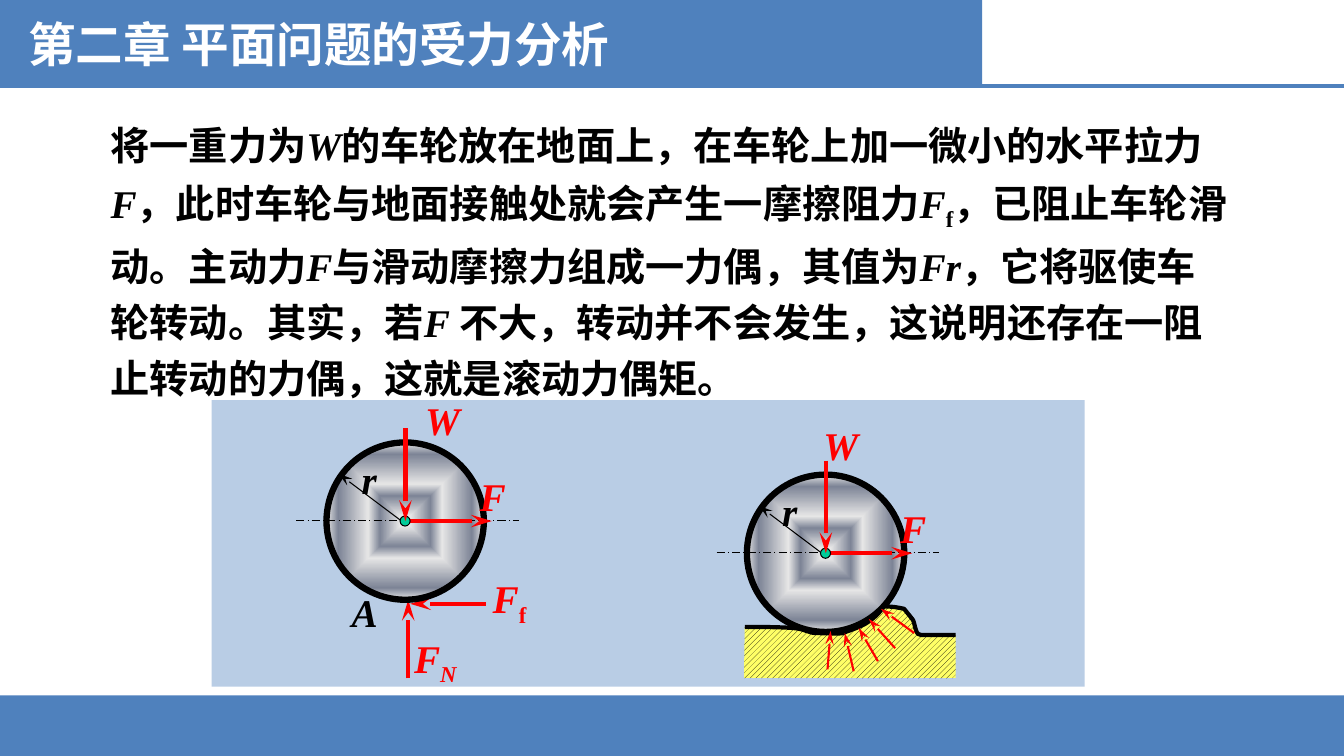
"""Build the slide on the forces acting on a rolling wheel."""
import pptx
import pptx.util
import pptx.dml.color
import pptx.enum.dml
import pptx.enum.shapes
import pptx.enum.text
import pptx.oxml.ns
from lxml import etree

Pt = pptx.util.Pt
qn = pptx.oxml.ns.qn
ink = pptx.dml.color.RGBColor.from_string
KIND = pptx.enum.shapes.MSO_SHAPE
HAN = "Noto Sans CJK SC"
ROMAN = "Times New Roman"
RED, BLACK, BLUE = "FF0000", "000000", "4F81BD"


def write(box, runs, size, color):
    """Fill a box with (text, style) runs: i is italic, s is subscript."""
    frame = box.text_frame
    frame.word_wrap = True
    frame.auto_size = pptx.enum.text.MSO_AUTO_SIZE.NONE
    frame.vertical_anchor = pptx.enum.text.MSO_ANCHOR.TOP
    para = frame.paragraphs[0]
    para.alignment = pptx.enum.text.PP_ALIGN.LEFT
    for text, style in runs:
        run = para.add_run()
        run.text = text
        font = run.font
        font.name = ROMAN if text.isascii() else HAN
        font.size, font.bold, font.italic = Pt(size), True, "i" in style
        font.color.rgb = ink(color)
        props = run._r.get_or_add_rPr()
        etree.SubElement(props, qn("a:ea")).set("typeface", HAN)
        if "s" in style:
            props.set("baseline", "-25000")
    return para


def draw(parts, start, end, color, width, arrow=True):
    """Draw a straight line, with a long arrowhead at its end if asked."""
    line = parts.add_connector(pptx.enum.shapes.MSO_CONNECTOR.STRAIGHT,
                               *[Pt(v) for v in (*start, *end)])
    line.line.color.rgb = ink(color)
    line.line.width = Pt(width)
    if arrow:
        tip = etree.SubElement(line.line._get_or_add_ln(), qn("a:tailEnd"))
        tip.set("type", "stealth")
        tip.set("len", "lg")
    etree.SubElement(line.element.spPr, qn("a:effectLst"))
    return line


deck = pptx.Presentation()
deck.slide_width, deck.slide_height = Pt(960), Pt(540)
slide = deck.slides.add_slide(deck.slide_layouts[5])
shapes = slide.shapes

for x, y, w, h, color in [(0, 496.8, 960, 43.2, BLUE),
                          (0, -0.7, 701.5, 62.6, BLUE),
                          (151.2, 285.8, 623.5, 204.7, "B9CDE5")]:
    band = shapes.add_shape(KIND.RECTANGLE, Pt(x), Pt(y), Pt(w), Pt(h))
    band.shadow.inherit = False
    band.fill.solid()
    band.fill.fore_color.rgb = ink(color)
    band.line.fill.background()
draw(shapes, (0, 61.7), (960, 61.7), BLUE, 3, False)

title = shapes.title
shapes._spTree.append(title.element)
title.left, title.top, title.width, title.height = Pt(13), Pt(7.2), Pt(437), Pt(48.2)
write(title, [("第二章 平面问题的受力分析", "")], 34, "FFFFFF")
title.text_frame.word_wrap = False

body = shapes.add_textbox(Pt(72), Pt(76.3), Pt(816.2), Pt(211))
para = write(body, [
    ("将一重力为", ""), ("W", "i"),
    ("的车轮放在地面上，在车轮上加一微小的水平拉力", ""), ("F", "i"),
    ("，此时车轮与地面接触处就会产生一摩擦阻力", ""), ("F", "i"), ("f", "s"),
    ("，已阻止车轮滑动。主动力", ""), ("F", "i"),
    ("与滑动摩擦力组成一力偶，其值为", ""), ("Fr", "i"),
    ("，它将驱使车轮转动。其实，若", ""), ("F ", "i"),
    ("不大，转动并不会发生，这说明还存在一阻止转动的力偶，这就是滚动力偶矩。", ""),
], 28, BLACK)
para.line_spacing = 1.2

for start, end, spot, sub, style in [
    ((291.6, 484.6), (291.6, 428.4), (288.7, 449.3, 72.7, 41), "N", "is"),
    ((347, 431.3), (293, 431.3), (344.9, 406.8, 54.7, 41), "f", "s"),
]:
    draw(shapes, start, end, RED, 3)
    box = shapes.add_textbox(*[Pt(v) for v in spot])
    write(box, [("F", "i"), (sub, style)], 28, RED)

stops = [(0, "FFFFFF"), (7, "E6E6E6"), (32, "7D8496"),
         (47, "E6E6E6"), (85, "7D8496"), (100, "E6E6E6")]
wheels = [(289.4, 372.2, 7.2, -92.3, ["A"]), (589.7, 395.2, -8.7, -97.8, [])]
for x, y, dx, dy, extra in wheels:
    parts = shapes.add_group_shape().shapes
    for rad, width in [(56.2, 4.5), (3.6, 0.75)]:
        disc = parts.add_shape(KIND.OVAL, Pt(x - rad), Pt(y - rad),
                               Pt(2 * rad), Pt(2 * rad))
        disc.shadow.inherit = False
        disc.line.color.rgb = ink(BLACK)
        disc.line.width = Pt(width)
        if rad < 10:
            disc.fill.solid()
            disc.fill.fore_color.rgb = ink("00CC99")
            continue
        disc.fill.gradient()
        grad = disc.element.spPr.find(qn("a:gradFill"))
        for child in list(grad):
            grad.remove(child)
        ramp = etree.SubElement(grad, qn("a:gsLst"))
        for pos, color in stops:
            stop = etree.SubElement(ramp, qn("a:gs"))
            stop.set("pos", str(pos * 1000))
            etree.SubElement(stop, qn("a:srgbClr")).set("val", color)
        way = etree.SubElement(grad, qn("a:path"))
        way.set("path", "shape")
        focus = etree.SubElement(way, qn("a:fillToRect"))
        for side in "ltrb":
            focus.set(side, "50000")
        for text, color, tx, ty, w in [("W", RED, dx, dy, 50.4),
                                       ("F", RED, 46.1, -38.3, 46.8),
                                       ("r", BLACK, -38.1, -50.4, 38.9)]:
            box = parts.add_textbox(Pt(x + tx), Pt(y + ty), Pt(w), Pt(41))
            write(box, [(text, "i")], 28, color)
        axis = draw(parts, (x - 77.8, y - 0.5), (x + 81.3, y - 0.5), BLACK, 0.75, False)
        axis.line.dash_style = pptx.enum.dml.MSO_LINE.LONG_DASH_DOT
        draw(parts, (x - 0.5, y), (x + 61.9, y), RED, 3)
        draw(parts, (x - 0.7, y + 1.4), (x - 47.5, y - 33.8), BLACK, 0.75)
    draw(parts, (x + 0.2, y - 66.2), (x + 0.2, y), RED, 3)
    for text in extra:
        box = parts.add_textbox(Pt(x - 45.3), Pt(y + 44.7), Pt(38.9), Pt(41))
        write(box, [(text, "i")], 28, BLACK)

curves = [
    (538.6, 447.8, 555.8, 447.8, 566.6, 448.6),
    (575.3, 449.3, 577.4, 452.2, 583.2, 452.2),
    (586.1, 452.2, 599.8, 452.9, 602.6, 452.2),
    (604.8, 450.7, 609.1, 450, 614.9, 447.1),
    (619.9, 445, 622.1, 442.8, 625.7, 439.9),
    (628.6, 437, 630, 434.9, 631.4, 433.4),
    (635, 432.7, 643, 434.2, 645.8, 434.9),
    (648.7, 437.8, 649.4, 438.5, 651.6, 442.1),
    (653, 443.5, 653, 446.4, 653.8, 448.6),
    (655.2, 450.7, 653.8, 452.9, 658.1, 453.6),
    (670.3, 453.6, 682.6, 453.6, 682.6, 453.6),
]
ground = [(532, 447.8)]
for curve in curves:
    ground += zip(curve[::2], curve[1::2])

for corners in [[(682.6, 484.6), (531.4, 484.3)], []]:
    dots = [(Pt(x), Pt(y)) for x, y in ground + corners]
    pen = parts.build_freeform(*dots[0])
    pen.add_line_segments(dots[1:], close=bool(corners))
    soil = pen.convert_to_shape()
    soil.shadow.inherit = False
    legs = list(soil.element.iter(qn("a:lnTo")))
    for n in range(0, 3 * len(curves), 3):
        bend = etree.Element(qn("a:cubicBezTo"))
        legs[n].addprevious(bend)
        for leg in legs[n:n + 3]:
            bend.append(leg[0])
            leg.getparent().remove(leg)
    if corners:
        soil.fill.patterned()
        soil.fill.pattern = pptx.enum.dml.MSO_PATTERN.WIDE_UPWARD_DIAGONAL
        soil.fill.fore_color.rgb = ink(BLACK)
        soil.fill.back_color.rgb = ink("FFFF66")
        soil.line.fill.background()
    else:
        soil.fill.background()
        soil.line.color.rgb = ink(BLACK)
        soil.line.width = Pt(3)

for start, end in [
    ((639.4, 463), (620.6, 442.1)),
    ((627.1, 472.3), (613.4, 448.6)),
    ((653, 452.2), (629.3, 434.9)),
    ((609.8, 479.5), (603.4, 452.2)),
    ((591.1, 478.1), (593.3, 450.7)),
]:
    draw(shapes, start, end, RED, 1.5)

deck.save("out.pptx")
